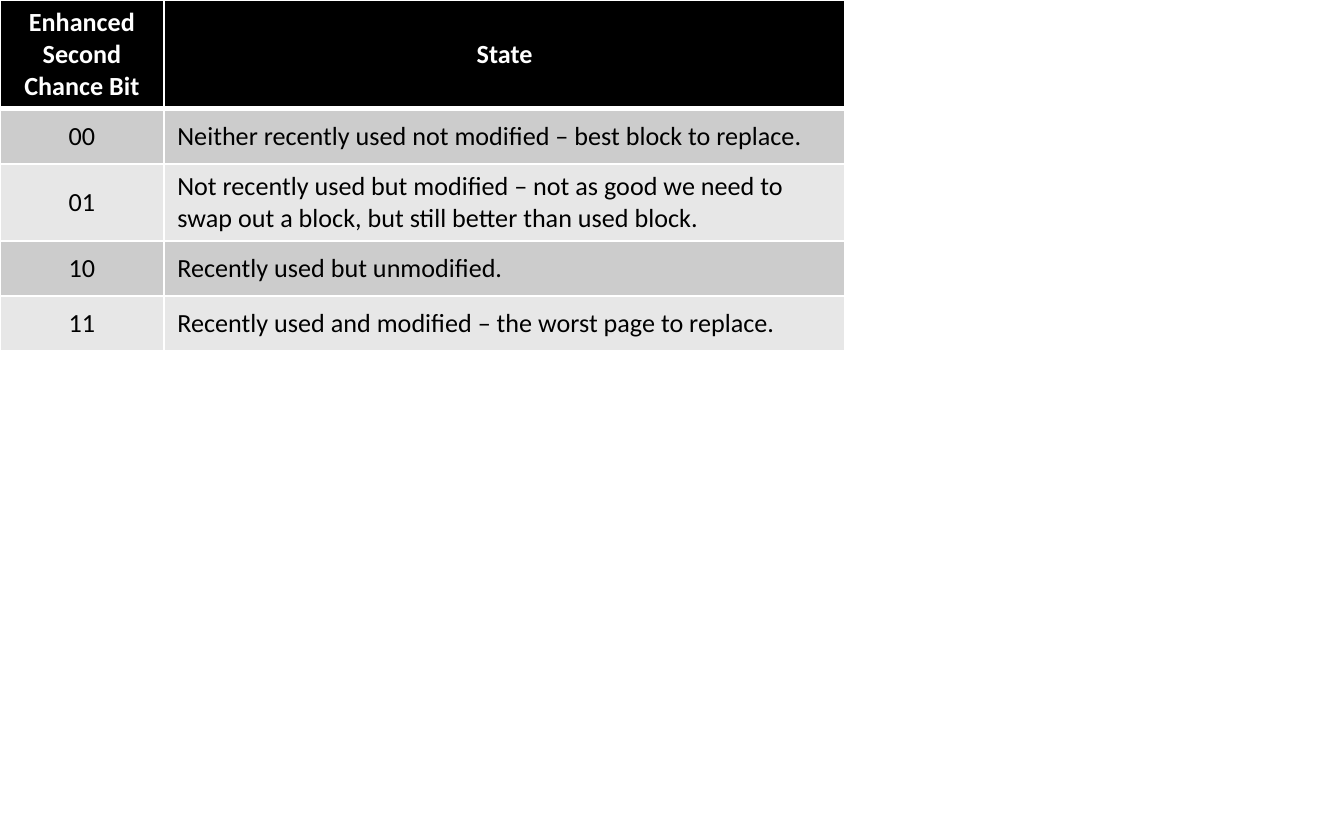
from lxml import etree
from pptx import Presentation
from pptx.dml.color import RGBColor
from pptx.enum.text import MSO_ANCHOR, PP_ALIGN
from pptx.oxml.ns import qn
from pptx.util import Inches, Pt

CENTER, LEFT = PP_ALIGN.CENTER, PP_ALIGN.LEFT
MIDDLE = MSO_ANCHOR.MIDDLE

PAGE_WIDTH, PAGE_HEIGHT = 10, 6.25
COLUMN_WIDTHS = (1.22, 5.07)
HEADER_HEIGHT, BODY_HEIGHT, TABLE_HEIGHT = 0.43, 0.41, 2.58

STATES = [
    ("Enhanced Second Chance Bit", "State"),
    ("00", "Neither recently used not modified – best block to replace."),
    ("01", "Not recently used but modified – not as good we need to swap out "
           "a block, but still better than used block."),
    ("10", "Recently used but unmodified."),
    ("11", "Recently used and modified – the worst page to replace."),
]


def color(hex_code):
    return RGBColor.from_string(hex_code)


class TablePage:
    font_name, font_size = "Calibri", 14
    header_fill, header_text = "000000", "FFFFFF"
    band_fills, body_text = ("CCCCCC", "E7E7E7"), "000000"
    border_color = "FFFFFF"

    def __init__(self, deck):
        self.page = deck.slides.add_slide(deck.slide_layouts[6])

    def add_table(self, rows, widths):
        frame = self.page.shapes.add_table(
            len(rows), len(widths), 0, 0, Inches(sum(widths)), Inches(TABLE_HEIGHT))
        table = frame.table
        for column, width in zip(table.columns, widths):
            column.width = Inches(width)
        for row_index, texts in enumerate(rows):
            height = BODY_HEIGHT if row_index else HEADER_HEIGHT
            table.rows[row_index].height = Inches(height)
            for column_index, text in enumerate(texts):
                self.fill_cell(table.cell(row_index, column_index), text,
                               row_index, column_index)
        # Rows grow with wrapped text, so the frame is taller than their sum.
        frame.height = Inches(TABLE_HEIGHT)

    def fill_cell(self, cell, text, row_index, column_index):
        is_header = row_index == 0
        cell.text = text
        cell.vertical_anchor = MIDDLE
        cell.fill.solid()
        cell.fill.fore_color.rgb = color(
            self.header_fill if is_header else self.band_fills[(row_index - 1) % 2])
        para = cell.text_frame.paragraphs[0]
        para.alignment = CENTER if is_header or column_index == 0 else LEFT
        para.font.name = self.font_name
        para.font.size = Pt(self.font_size)
        para.font.bold = is_header
        para.font.color.rgb = color(self.header_text if is_header else self.body_text)
        self.add_borders(cell, top=3 if row_index == 1 else 1,
                         bottom=3 if is_header else 1)

    def add_borders(self, cell, top, bottom):
        """Draw the four cell borders; they must precede the fill in the XML."""
        properties = cell._tc.get_or_add_tcPr()
        sides = {"a:lnL": 1, "a:lnR": 1, "a:lnT": top, "a:lnB": bottom}
        for position, (tag, width) in enumerate(sides.items()):
            line = etree.Element(qn(tag), w=str(Pt(width)))
            fill = etree.SubElement(line, qn("a:solidFill"))
            etree.SubElement(fill, qn("a:srgbClr"), val=self.border_color)
            properties.insert(position, line)


def main():
    deck = Presentation()
    deck.slide_width, deck.slide_height = Inches(PAGE_WIDTH), Inches(PAGE_HEIGHT)
    TablePage(deck).add_table(STATES, COLUMN_WIDTHS)
    deck.save("out.pptx")


if __name__ == "__main__":
    main()
